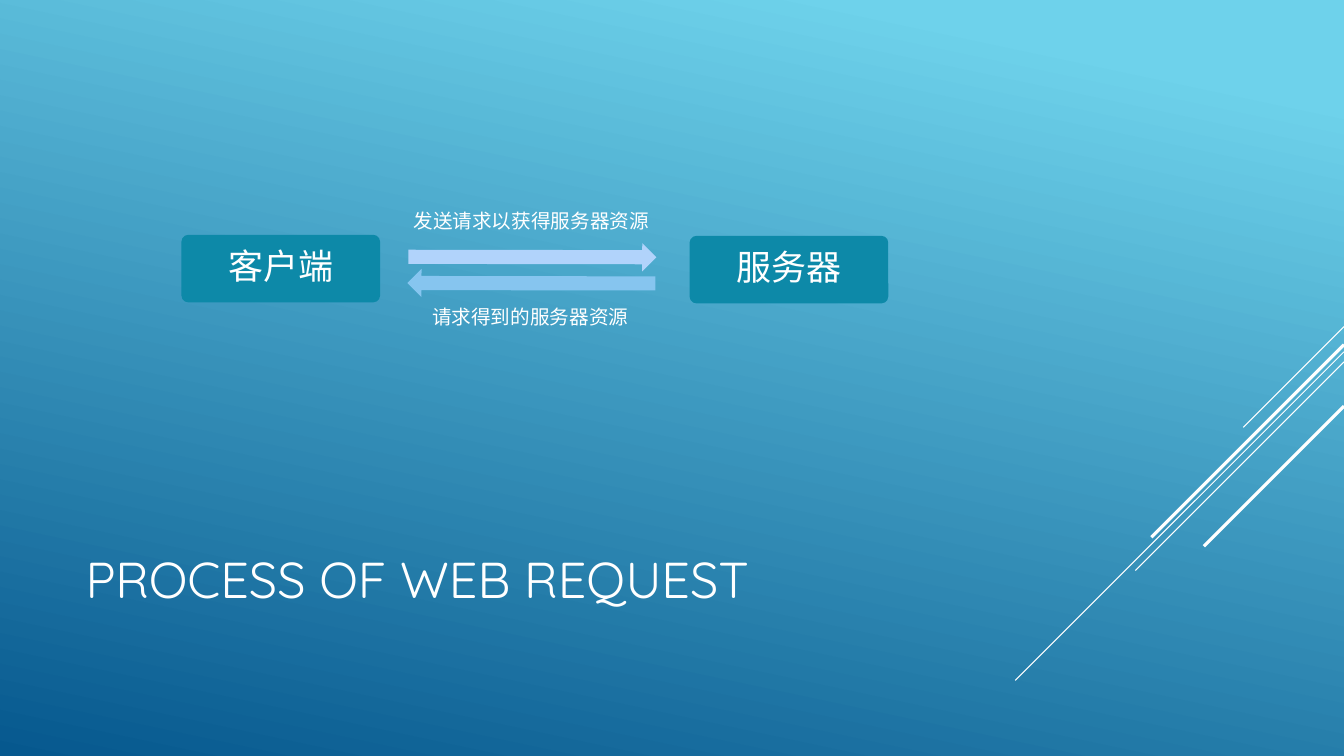
from pptx import Presentation
from pptx.dml.color import RGBColor
from pptx.enum.shapes import MSO_CONNECTOR, MSO_SHAPE
from pptx.enum.text import MSO_ANCHOR, PP_ALIGN
from pptx.oxml.ns import qn
from pptx.util import Inches, Pt
from lxml import etree

ROUND, ARROW = MSO_SHAPE.ROUNDED_RECTANGLE, MSO_SHAPE.RIGHT_ARROW
LINE = MSO_CONNECTOR.STRAIGHT
MIDDLE, TOP = MSO_ANCHOR.MIDDLE, MSO_ANCHOR.TOP
CENTER, LEFT = PP_ALIGN.CENTER, PP_ALIGN.LEFT
FONT, WHITE, TEAL = "Quicksand", "FFFFFF", "0D89A8"
WIDTH, HEIGHT = 13.33, 7.5


def color(code):
    return RGBColor.from_string(code)


def write(shape, text, size, align, anchor):
    frame = shape.text_frame
    frame.word_wrap = True
    frame.vertical_anchor = anchor
    para = frame.paragraphs[0]
    para.text = text
    para.alignment = align
    font = para.runs[0].font
    font.name, font.size = FONT, Pt(size)
    font.color.rgb = color(WHITE)
    return para


def add_label(slide, box, text, size, align=CENTER, anchor=TOP):
    label = slide.shapes.add_textbox(*map(Inches, box))
    write(label, text, size, align, anchor)


def add_block(slide, kind, box, fill):
    block = slide.shapes.add_shape(kind, *map(Inches, box))
    block.shadow.inherit = False
    block.fill.solid()
    block.fill.fore_color.rgb = color(fill)
    block.line.fill.background()
    return block


def add_node(slide, box, text):
    node = add_block(slide, ROUND, box, TEAL)
    node.adjustments[0] = 0.1
    para = write(node, text, 25, CENTER, MIDDLE)
    para.line_spacing = 0.9
    para.space_after = Pt(9)


def add_arrow(slide, box, fill, turn):
    arrow = add_block(slide, ARROW, box, fill)
    arrow.rotation = turn


def paint_back(slide):
    fill = slide.background.fill
    fill.gradient()
    fill.gradient_angle = 258
    stops = [(0.1, "6ED2EB"), (1, "06588E")]
    for stop, (place, code) in zip(fill.gradient_stops, stops):
        stop.position = place
        stop.color.rgb = color(code)


def add_rays(slide):
    """Draw diagonals that run down and left from the right edge."""
    rays = [(3.24, 1, 0.75), (3.49, 3.26, 0.75), (3.59, 2.07, 0.75),
            (3.42, 1.91, 2.25), (4.03, 1.39, 2.25)]
    for top, span, weight in rays:
        ends = (WIDTH, top, WIDTH - span, top + span)
        ray = slide.shapes.add_connector(LINE, *map(Inches, ends))
        ray.line.color.rgb = color(WHITE)
        ray.line.width = Pt(weight)
        etree.SubElement(ray._element.spPr, qn("a:effectLst"))


def add_flow(slide, left, top):
    """Draw client, server and the two messages between them."""
    add_node(slide, (left, top, 1.97, 0.67), "客户端")
    add_node(slide, (left + 5.04, top + 0.01, 1.97, 0.67), "服务器")
    add_arrow(slide, (left + 2.25, top + 0.08, 2.46, 0.28), "B1D3FB", 0.1)
    add_arrow(slide, (left + 2.24, top + 0.34, 2.46, 0.28), "86C5EF", 180.1)
    add_label(slide, (left + 2.13, top - 0.31, 2.68, 0.34),
              "发送请求以获得服务器资源", 14)
    add_label(slide, (left + 2.25, top + 0.65, 2.42, 0.34),
              "请求得到的服务器资源", 14)


def main():
    deck = Presentation()
    deck.slide_width, deck.slide_height = Inches(WIDTH), Inches(HEIGHT)
    slide = deck.slides.add_slide(deck.slide_layouts[6])
    paint_back(slide)
    add_rays(slide)
    add_label(slide, (0.75, 4.91, 9.33, 1.65), "PROCESS OF WEB REQUEST",
              36, LEFT, MIDDLE)
    add_flow(slide, 1.8, 2.33)
    deck.save("out.pptx")


if __name__ == "__main__":
    main()
